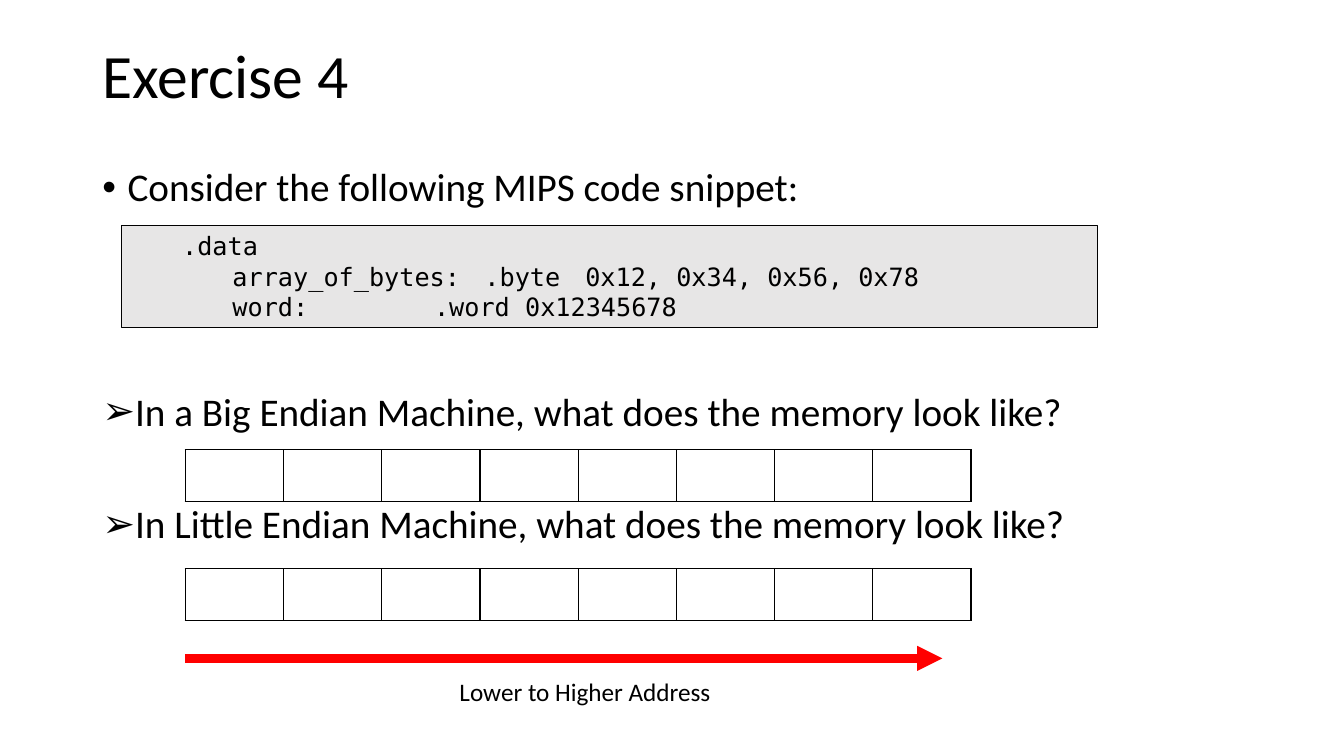
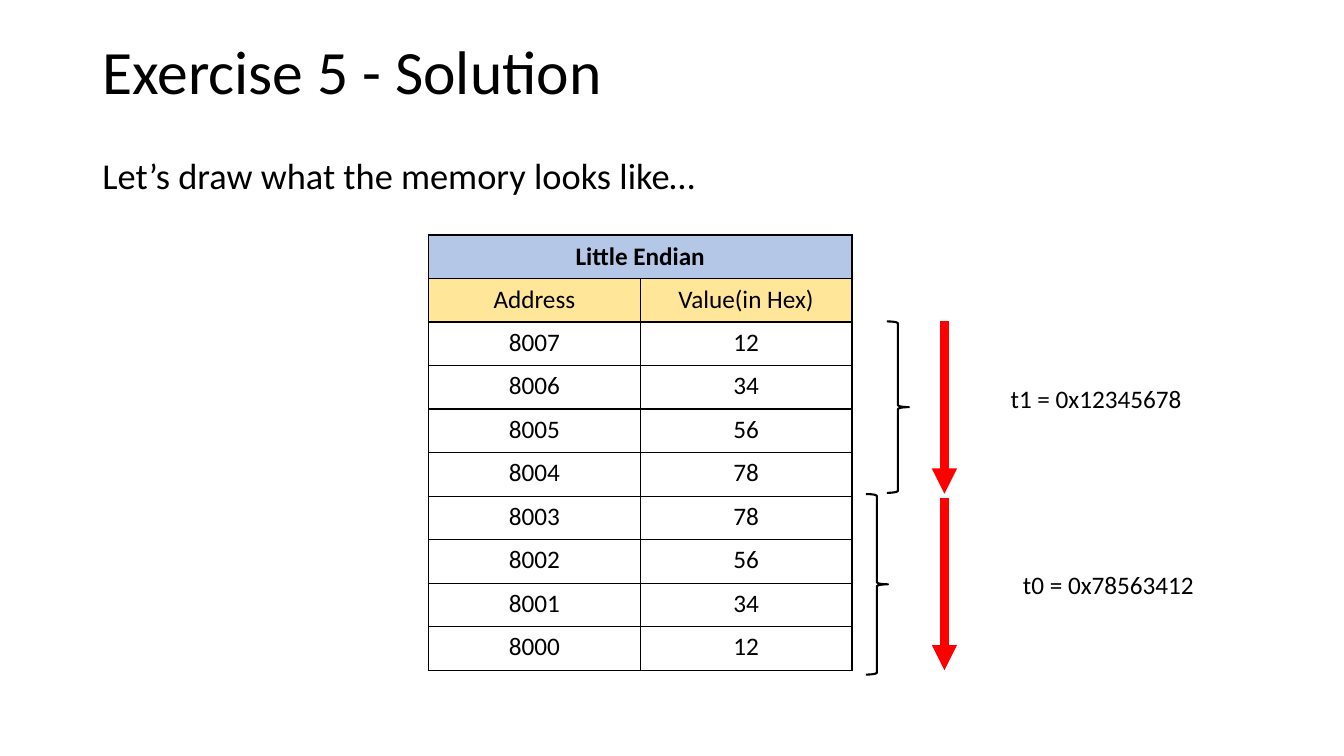
"""Build two slides on byte order in memory."""
from dataclasses import dataclass

from lxml.etree import SubElement as Sub
from pptx import Presentation
from pptx.dml.color import RGBColor as Color
from pptx.enum.shapes import MSO_CONNECTOR as Link, MSO_SHAPE as Form
from pptx.enum.text import MSO_ANCHOR as Anchor, PP_ALIGN as Align
from pptx.oxml.ns import qn
from pptx.util import Cm, Pt


def tint(code):
    """Turn a hex string into a colour."""
    return Color.from_string(code)


def edge(cell, ink):
    """Draw a thin border on all sides of a cell."""
    props = cell._tc.get_or_add_tcPr()
    for side in ("lnL", "lnR", "lnT", "lnB"):
        line = Sub(props, qn("a:" + side), w=str(Pt(1)))
        fill = Sub(line, qn("a:solidFill"))
        Sub(fill, qn("a:srgbClr"), val=ink)


def mark(para, sign):
    """Give a paragraph a hanging bullet."""
    props = para._p.get_or_add_pPr()
    props.set("marL", str(Cm(0.635)))
    props.set("indent", str(-Cm(0.635)))
    Sub(props, qn("a:buFont"), typeface="Arial")
    Sub(props, qn("a:buChar"), char=sign)


@dataclass
class Deck:
    """Hold the shared style and the current slide."""
    show: object
    slide: object = None
    font: str = "Calibri"
    mono: str = "DejaVu Sans Mono"
    ink: str = "000000"
    red: str = "FF0000"
    grey: str = "E7E6E6"
    blue: str = "B4C7E7"
    gold: str = "FFE699"

    def style(self, para, size=18, face=None, bold=False):
        """Format every run of a paragraph."""
        for run in para.runs:
            font = run.font
            font.name = face or self.font
            font.size = Pt(size)
            font.bold = bold
            font.color.rgb = tint(self.ink)

    def page(self, title, top, high):
        """Start a slide with its title."""
        self.slide = self.show.slides.add_slide(self.show.slide_layouts[6])
        frame = self.text(title, 2.33, top, 29.21, high, 44)
        frame.vertical_anchor = Anchor.MIDDLE
        frame.paragraphs[0].line_spacing = 0.9

    def text(self, words, left, top, wide, high=1.02, size=18):
        """Add a text box and return its frame."""
        box = self.slide.shapes.add_textbox(
            Cm(left), Cm(top), Cm(wide), Cm(high))
        frame = box.text_frame
        frame.word_wrap = True
        frame.text = words
        for para in frame.paragraphs:
            self.style(para, size)
        return frame

    def points(self, items, left, top, wide, high):
        """Add bullets given as sign, gap before and words."""
        words = "\n".join(item[2] for item in items)
        frame = self.text(words, left, top, wide, high, 28)
        for para, (sign, gap, _) in zip(frame.paragraphs, items):
            para.line_spacing = 0.9
            para.space_before = Pt(gap)
            mark(para, sign)

    def shape(self, form, left, top, wide, high, line, fill=None):
        """Add an outlined preset shape."""
        shape = self.slide.shapes.add_shape(
            form, Cm(left), Cm(top), Cm(wide), Cm(high))
        shape.shadow.inherit = False
        shape.line.color.rgb = tint(self.ink)
        shape.line.width = Pt(line)
        if fill:
            shape.fill.solid()
            shape.fill.fore_color.rgb = tint(fill)
        else:
            shape.fill.background()
        return shape

    def code(self, lines, left, top, wide, high):
        """Add a grey panel of code."""
        panel = self.shape(
            Form.RECTANGLE, left, top, wide, high, 0.75, self.grey)
        frame = panel.text_frame
        frame.vertical_anchor = Anchor.TOP
        frame.text = "\n".join(lines)
        for para in frame.paragraphs:
            para.alignment = Align.LEFT
            para._p.get_or_add_pPr().set("marL", str(Cm(1.27)))
            self.style(para, face=self.mono)

    def arrow(self, left, top, right, low):
        """Add a thick red arrow."""
        line = self.slide.shapes.add_connector(
            Link.STRAIGHT, Cm(left), Cm(top), Cm(right), Cm(low))
        line.line.color.rgb = tint(self.red)
        line.line.width = Pt(6)
        Sub(line.line._get_or_add_ln(), qn("a:tailEnd"), type="triangle")
        Sub(line._element.spPr, qn("a:effectLst"))

    def table(self, rows, left, top, wide, high, fills=()):
        """Add a ruled table with optional fills for the first rows."""
        grid = self.slide.shapes.add_table(
            len(rows), len(rows[0]),
            Cm(left), Cm(top), Cm(wide), Cm(high)).table
        grid.first_row = grid.horz_banding = False
        for r, row in enumerate(rows):
            for c, words in enumerate(row):
                cell = grid.cell(r, c)
                edge(cell, self.ink)
                if r < len(fills):
                    cell.fill.solid()
                    cell.fill.fore_color.rgb = tint(fills[r])
                    cell.vertical_anchor = Anchor.MIDDLE
                else:
                    cell.fill.background()
                para = cell.text_frame.paragraphs[0]
                para.text = words
                para.alignment = Align.CENTER
                self.style(para)
        return grid


show = Presentation()
show.slide_width, show.slide_height = Cm(33.87), Cm(19.05)
deck = Deck(show)

deck.page("Exercise 4", 0.13, 3.68)
deck.points([
    ("•", 0, "Consider the following MIPS code snippet:"),
    ("➢", 130, "In a Big Endian Machine, what does the memory look like?"),
    ("➢", 50, "In Little Endian Machine, what does the memory look like?"),
], 2.33, 4.11, 29.21, 13.18)
for top in (11.33, 14.33):
    deck.table([[""] * 8], 4.67, top, 19.8, 1.3)
deck.code([
    ".data",
    "\tarray_of_bytes:\t.byte\t0x12, 0x34, 0x56, 0x78",
    "\tword:\t\t\t.word 0x12345678",
], 3.07, 5.69, 24.59, 2.57)
deck.arrow(4.67, 16.59, 23.75, 16.59)
deck.text("Lower to Higher Address", 11.33, 16.92, 7.19)

deck.page("Exercise 5 - Solution", 0.46, 2.84)
deck.text("Let’s draw what the memory looks like…",
          2.33, 3.73, 22.63, 1.37, 26)
bytes_down = ["12", "34", "56", "78", "78", "56", "34", "12"]
cells = [[str(8007 - i), value] for i, value in enumerate(bytes_down)]
grid = deck.table(
    [["Little Endian", ""], ["Address", "Value(in Hex)"]] + cells,
    10.8, 5.92, 10.67, 10.97, [deck.blue, deck.gold])
head = grid.cell(0, 0)
head.merge(grid.cell(0, 1))
deck.style(head.text_frame.paragraphs[0], bold=True)
deck.shape(Form.RIGHT_BRACE, 21.82, 12.45, 0.56, 4.55, 1.5)
deck.shape(Form.RIGHT_BRACE, 22.35, 8.1, 0.56, 4.32, 1.5)
deck.text("t0 = 0x78563412", 25.53, 14.22, 5.61)
deck.text("t1 = 0x12345678", 25.22, 9.53, 6.71)
for top in (8.1, 12.55):
    deck.arrow(23.8, top, 23.8, top + 4.34)

show.save("out.pptx")
